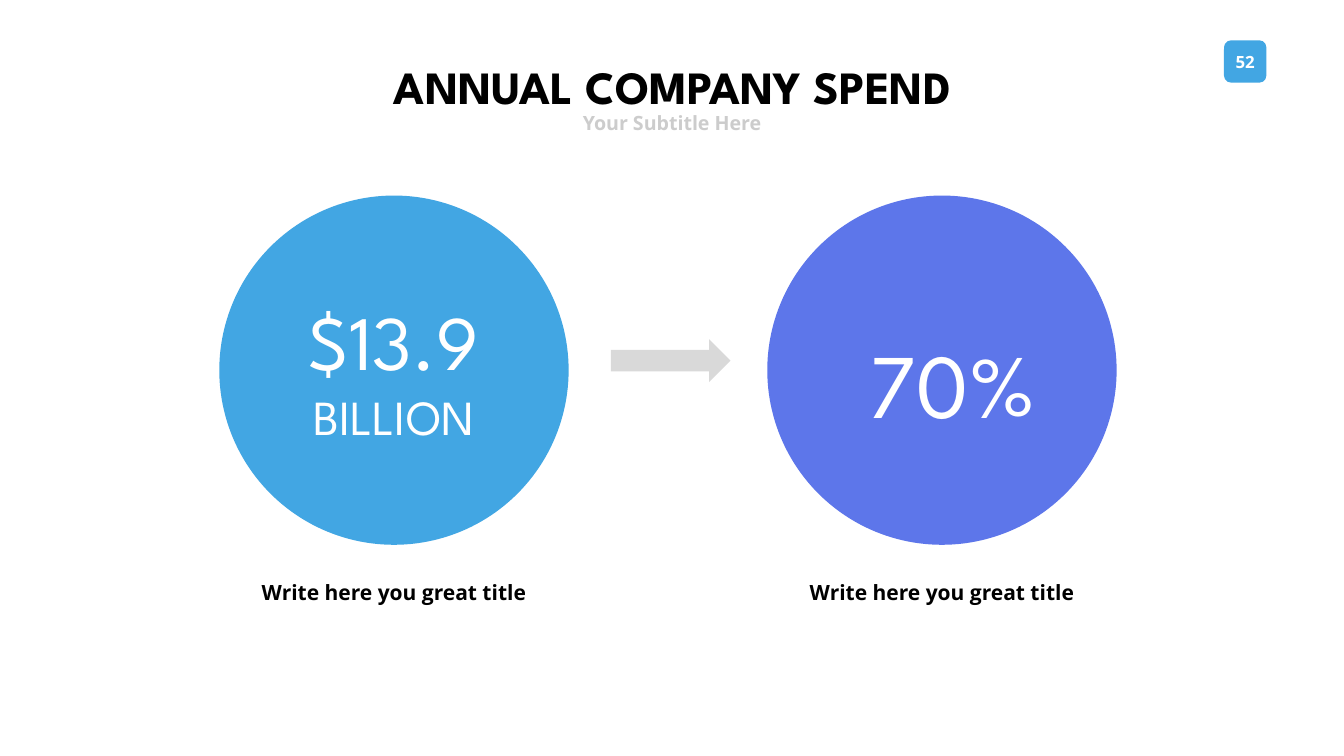
from dataclasses import dataclass

from pptx import Presentation
from pptx.dml.color import RGBColor
from pptx.enum.shapes import MSO_SHAPE
from pptx.enum.text import MSO_ANCHOR, PP_ALIGN
from pptx.shapes.autoshape import Shape
from pptx.slide import Slide
from pptx.util import Inches, Pt

COLORS = {
    "blue": "42A6E3",
    "violet": "5D76EA",
    "arrow": "D9D9D9",
    "subtitle": "CCCCCC",
    "black": "000000",
    "white": "FFFFFF",
}
HEADING_FONT = "League Spartan"
BODY_FONT = "Open Sans"
CIRCLE_TOP = 3.88
CIRCLE_SIZE = 6.93
CAPTION_TOP = 11.45
CAPTION_WIDTH = 5.5
CAPTION_HEIGHT = 0.61


@dataclass(frozen=True)
class Box:
    left: float
    top: float
    width: float
    height: float

    def lengths(self) -> tuple[Inches, ...]:
        return tuple(map(Inches, (self.left, self.top, self.width, self.height)))


@dataclass(frozen=True)
class Line:
    text: str
    size: float
    color: str
    font: str = BODY_FONT
    bold: bool = True


@dataclass(frozen=True)
class Metric:
    circle_left: float
    color: str
    value_box: Box
    lines: tuple[Line, ...]
    caption: str = "Write here you great title"


METRICS = (
    Metric(4.35, "blue", Box(5.56, 5.78, 4.5, 3.13), (
        Line("$13.9", 110, "white", HEADING_FONT, False),
        Line("BILLION", 70, "white", HEADING_FONT, False),
    )),
    Metric(15.22, "violet", Box(16.62, 6.44, 4.57, 2.29), (
        Line("70%", 130, "white", HEADING_FONT, False),
    )),
)


def write_lines(shape: Shape, lines: tuple[Line, ...], anchor: MSO_ANCHOR) -> None:
    frame = shape.text_frame
    frame.word_wrap = False
    frame.vertical_anchor = anchor
    for index, line in enumerate(lines):
        paragraph = frame.add_paragraph() if index else frame.paragraphs[0]
        paragraph.text = line.text
        paragraph.alignment = PP_ALIGN.CENTER
        paragraph.font.name = line.font
        paragraph.font.size = Pt(line.size)
        paragraph.font.bold = line.bold
        paragraph.font.color.rgb = RGBColor.from_string(COLORS[line.color])


def add_text(slide: Slide, box: Box, *lines: Line, anchor: MSO_ANCHOR = MSO_ANCHOR.TOP) -> Shape:
    shape = slide.shapes.add_textbox(*box.lengths())
    write_lines(shape, lines, anchor)
    return shape


def add_filled_shape(slide: Slide, kind: MSO_SHAPE, box: Box, color: str) -> Shape:
    shape = slide.shapes.add_shape(kind, *box.lengths())
    shape.shadow.inherit = False
    shape.fill.solid()
    shape.fill.fore_color.rgb = RGBColor.from_string(COLORS[color])
    shape.line.fill.background()
    return shape


def add_metric(slide: Slide, metric: Metric) -> None:
    circle = Box(metric.circle_left, CIRCLE_TOP, CIRCLE_SIZE, CIRCLE_SIZE)
    add_filled_shape(slide, MSO_SHAPE.OVAL, circle, metric.color)
    add_text(slide, metric.value_box, *metric.lines)
    caption_left = metric.circle_left + (CIRCLE_SIZE - CAPTION_WIDTH) / 2
    caption_box = Box(caption_left, CAPTION_TOP, CAPTION_WIDTH, CAPTION_HEIGHT)
    add_text(slide, caption_box, Line(metric.caption, 30, "black"), anchor=MSO_ANCHOR.MIDDLE)


def main() -> None:
    """Build the annual company spend slide."""
    presentation = Presentation()
    presentation.slide_width = Inches(26.66)
    presentation.slide_height = Inches(15)
    slide = presentation.slides.add_slide(presentation.slide_layouts[6])

    badge = add_filled_shape(slide, MSO_SHAPE.ROUNDED_RECTANGLE, Box(24.28, 0.8, 0.84, 0.84), "blue")
    write_lines(badge, (Line("52", 24, "white"),), MSO_ANCHOR.MIDDLE)

    title = add_text(slide, Box(6.69, 0.81, 13.3, 1.5),
                     Line("ANNUAL COMPANY SPEND", 66, "black", HEADING_FONT))
    title.text_frame.paragraphs[0].line_spacing = Pt(100)
    add_text(slide, Box(11.44, 2.15, 3.78, 0.57),
             Line("Your Subtitle Here", 28, "subtitle"), anchor=MSO_ANCHOR.MIDDLE)

    for metric in METRICS:
        add_metric(slide, metric)
    add_filled_shape(slide, MSO_SHAPE.RIGHT_ARROW, Box(12.12, 6.73, 2.37, 0.85), "arrow")

    presentation.save("out.pptx")


if __name__ == "__main__":
    main()
